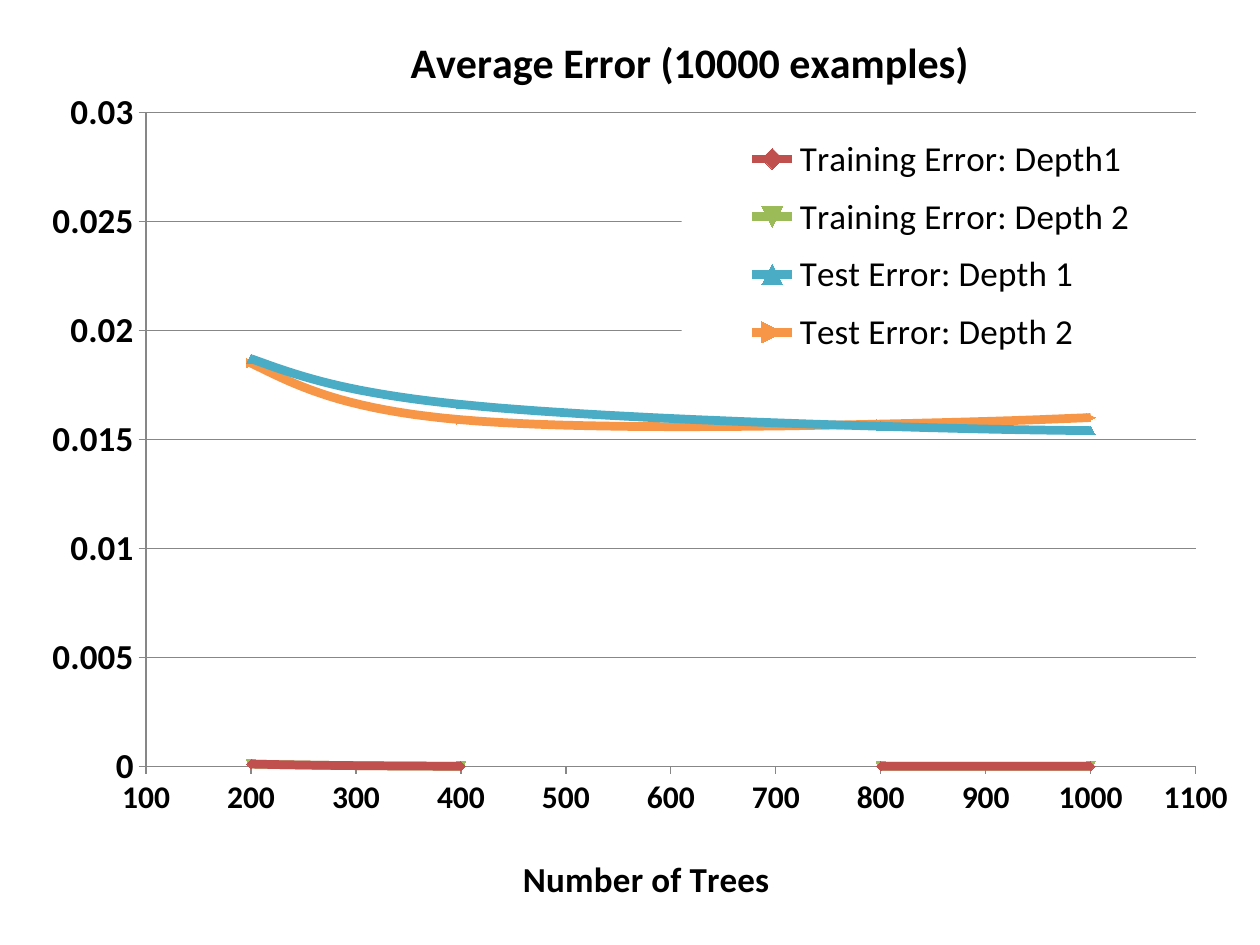
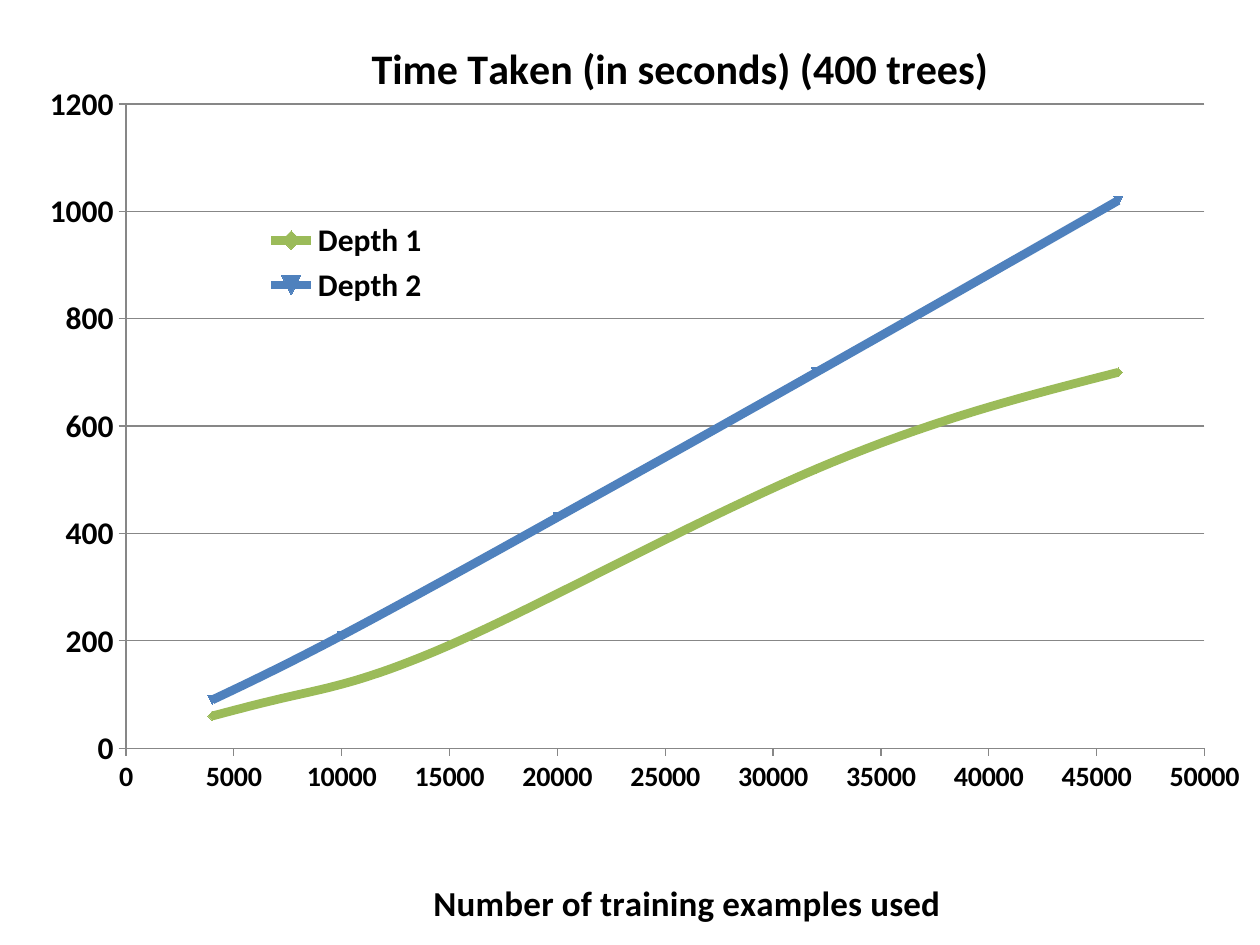
import pptx
import pptx.chart.data
import pptx.dml.color
import pptx.enum.chart
import pptx.oxml
import pptx.oxml.ns
import pptx.util

Pt = pptx.util.Pt
qn = pptx.oxml.ns.qn

# Shared style
WIDTH, HEIGHT = 720, 540
FONT = "Calibri"
COLORS = {
    "text": "000000",
    "background": "FFFFFF",
    "rule": "878787",
    "red": "C0504D",
    "green": "9BBB59",
    "teal": "4BACC6",
    "orange": "F79646",
    "blue": "4F81BD",
}
HEADING_SIZE, AXIS_TITLE_SIZE = 24, 20
CURVE_WIDTH, RULE_WIDTH = 5, 0.75


def rgb(name):
    return pptx.dml.color.RGBColor.from_string(COLORS[name])


def set_layout(parent, after, x, y, w=None, h=None, inner=False):
    """Place a chart part by fractions of the chart, after the given child."""
    for old in parent.findall(qn("c:layout")):
        parent.remove(old)
    parts = [("layoutTarget", "inner")] if inner else []
    parts += [("xMode", "edge"), ("yMode", "edge"), ("x", x), ("y", y)]
    if w is not None:
        parts += [("w", w), ("h", h)]
    body = "".join(f'<c:{tag} val="{value}"/>' for tag, value in parts)
    layout = pptx.oxml.parse_xml(
        f'<c:layout {pptx.oxml.ns.nsdecls("c")}>'
        f"<c:manualLayout>{body}</c:manualLayout></c:layout>")
    if after is None:
        parent.insert(0, layout)
    else:
        parent.find(qn(after)).addnext(layout)


class ChartDeck:
    """Holds the style, the current slide and its chart."""

    def __init__(self):
        self.deck = pptx.Presentation()
        self.deck.slide_width, self.deck.slide_height = Pt(WIDTH), Pt(HEIGHT)

    def new_slide(self):
        self.slide = self.deck.slides.add_slide(self.deck.slide_layouts[6])
        fill = self.slide.background.fill
        fill.solid()
        fill.fore_color.rgb = rgb("background")

    def style_font(self, font, size, bold=True):
        font.name, font.size, font.bold = FONT, Pt(size), bold
        font.color.rgb = rgb("text")

    def style_line(self, line, color, width):
        line.color.rgb = rgb(color)
        line.width = Pt(width)

    def scatter(self, curves, plot_box):
        data = pptx.chart.data.XyChartData()
        for name, _, points in curves:
            curve = data.add_series(name)
            for x, y in points:
                curve.add_data_point(x, y)
        self.chart = self.slide.shapes.add_chart(
            pptx.enum.chart.XL_CHART_TYPE.XY_SCATTER_SMOOTH,
            0, 0, Pt(WIDTH), Pt(HEIGHT), data).chart
        self.style_font(self.chart.font, 10, False)
        plot = self.chart.plots[0]
        plot.vary_by_categories = False
        for curve, (_, color, _) in zip(plot.series, curves):
            self.style_line(curve.format.line, color, CURVE_WIDTH)
            marker = curve.marker.format
            marker.fill.solid()
            marker.fill.fore_color.rgb = rgb(color)
            self.style_line(marker.line, color, RULE_WIDTH)
        # Automatic markers start at the diamond, the second in the cycle
        for number, ser in enumerate(self.chart.element.iter(qn("c:ser")), 1):
            ser.find(qn("c:idx")).set("val", str(number))
            ser.find(qn("c:smooth")).set("val", "1")
        set_layout(self.chart.element.find(".//" + qn("c:plotArea")), None,
                   *plot_box, inner=True)

    def title(self, owner, text, size, spot):
        title = owner.chart_title if owner is self.chart else owner.axis_title
        run = title.text_frame.paragraphs[0].add_run()
        run.text = text
        self.style_font(run.font, size)
        set_layout(title.element, "c:tx", *spot)

    def heading(self, text, spot):
        self.chart.has_title = True
        self.title(self.chart, text, HEADING_SIZE, spot)

    def axis(self, axis, size, low, high, step, grid=False):
        axis.minimum_scale, axis.maximum_scale = low, high
        axis.major_unit = step
        axis.major_tick_mark = pptx.enum.chart.XL_TICK_MARK.OUTSIDE
        axis.tick_labels.number_format = "General"
        axis.tick_labels.number_format_is_linked = False
        self.style_font(axis.tick_labels.font, size)
        self.style_line(axis.format.line, "rule", RULE_WIDTH)
        axis.has_major_gridlines = grid
        if grid:
            self.style_line(axis.major_gridlines.format.line, "rule", RULE_WIDTH)

    def legend(self, position, box, size, bold, filled=False):
        self.chart.has_legend = True
        legend = self.chart.legend
        legend.position = position
        legend.include_in_layout = False
        self.style_font(legend.font, size, bold)
        element = self.chart.element.find(".//" + qn("c:legend"))
        set_layout(element, "c:legendPos", *box)
        if filled:
            element.find(qn("c:overlay")).addnext(pptx.oxml.parse_xml(
                f'<c:spPr {pptx.oxml.ns.nsdecls("c", "a")}><a:solidFill>'
                f'<a:srgbClr val="{COLORS["background"]}"/>'
                "</a:solidFill></c:spPr>"))


def main():
    deck = ChartDeck()
    legend_side = pptx.enum.chart.XL_LEGEND_POSITION

    # Slide 1: error against number of trees
    trees = [200, 400, 800, 1000]
    training_error = [0.0001, 0, 0, 0]
    errors = [
        ("Training Error: Depth1", "red", training_error),
        ("Training Error: Depth 2", "green", training_error),
        ("Test Error: Depth 1", "teal", [0.0187, 0.0166, 0.0156, 0.0154]),
        ("Test Error: Depth 2", "orange", [0.0185, 0.0159, 0.0157, 0.016]),
    ]
    deck.new_slide()
    deck.scatter([(name, color, list(zip(trees, values)))
                  for name, color, values in errors],
                 (0.116, 0.119, 0.833, 0.692))
    deck.heading("Average Error (10000 examples)", (0.32, 0.028))
    tree_axis, error_axis = deck.chart.category_axis, deck.chart.value_axis
    deck.axis(tree_axis, 18, 100, 1100, 100)
    deck.axis(error_axis, 20, 0, 0.03, 0.005, grid=True)
    deck.title(tree_axis, "Number of Trees", AXIS_TITLE_SIZE, (0.41, 0.897))
    deck.legend(legend_side.LEFT, (0.541, 0.13, 0.412, 0.26), 20, False,
                filled=True)

    # Slide 2: time against number of training examples
    times = [
        ("Depth 1", "green", [(4000, 60), (8000, 100), (16000, 210),
                              (32000, 520), (46000, 700)]),
        ("Depth 2", "blue", [(4000, 90), (10000, 210), (20000, 430),
                             (32000, 700), (46000, 1020)]),
    ]
    deck.new_slide()
    deck.scatter(times, (0.1, 0.11, 0.856, 0.682))
    deck.heading("Time Taken (in seconds) (400 trees)", (0.289, 0.034))
    example_axis, time_axis = deck.chart.category_axis, deck.chart.value_axis
    deck.axis(example_axis, 16, 0, 50000, 5000)
    deck.axis(time_axis, 18, 0, 1200, 200, grid=True)
    deck.title(example_axis, "Number of training examples used",
               AXIS_TITLE_SIZE, (0.339, 0.923))
    deck.legend(legend_side.BOTTOM, (0.2, 0.227, 0.15, 0.102), 18, True)

    deck.deck.save("out.pptx")


if __name__ == "__main__":
    main()
